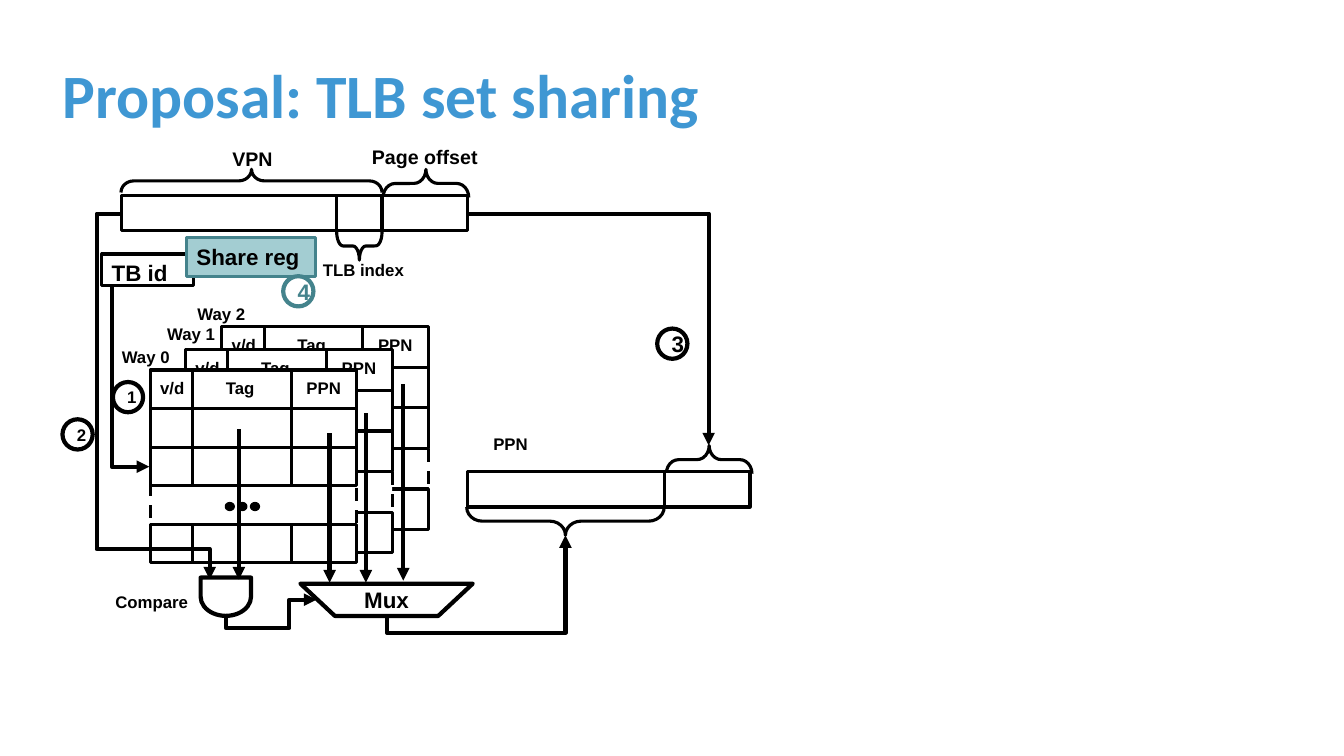
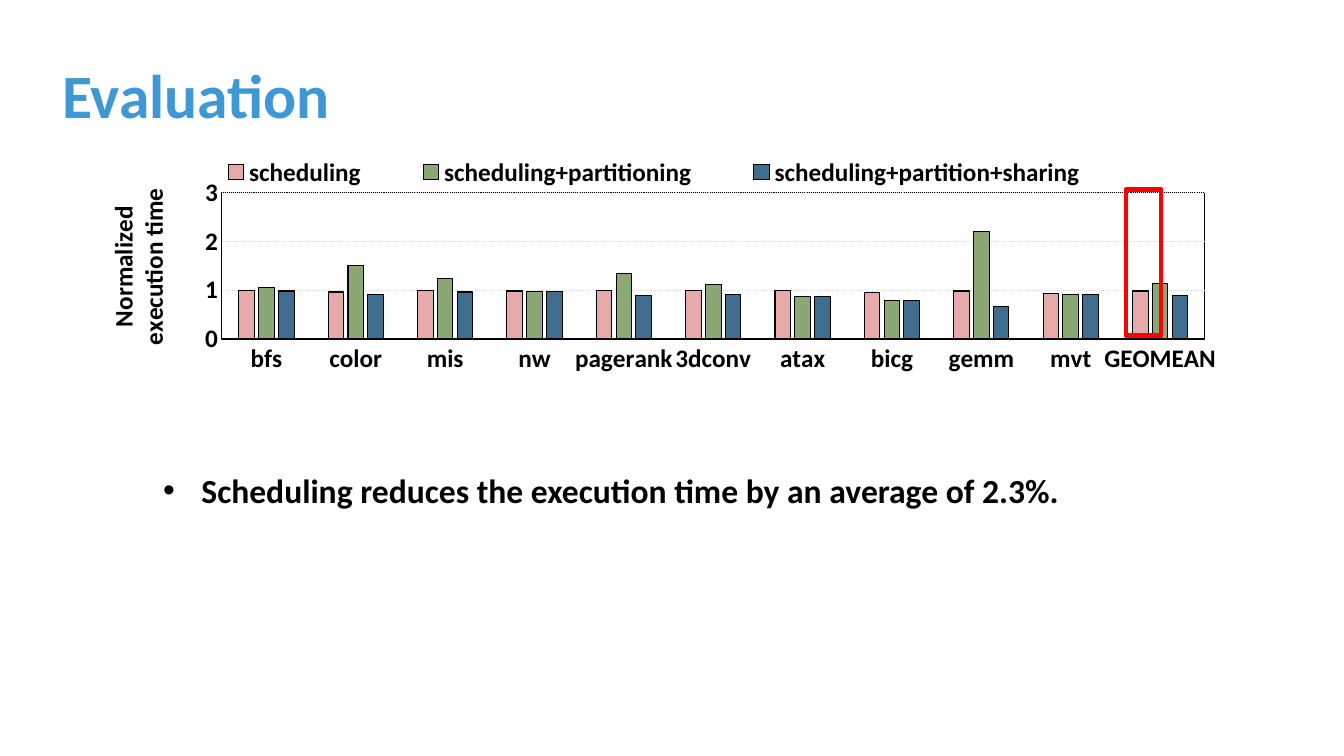
from lxml.etree import SubElement
from pptx import Presentation
from pptx.chart.data import CategoryChartData
from pptx.dml.color import RGBColor
from pptx.enum.chart import XL_CHART_TYPE, XL_LEGEND_POSITION, XL_TICK_MARK
from pptx.enum.dml import MSO_LINE
from pptx.enum.shapes import MSO_CONNECTOR, MSO_SHAPE
from pptx.enum.text import MSO_ANCHOR, PP_ALIGN
from pptx.oxml.ns import qn
from pptx.util import Inches, Pt

BLACK, WHITE, RED = "000000", "FFFFFF", "FF0000"
TITLE_BLUE, TEAL, PALE_TEAL, GRID_GREY = "3F97D3", "44838C", "A3CDD2", "D9D9D9"
COLS, ROWS = 133.33, 75
THIN, THICK = 2.25, 3

# Way table: column width, heading, heading's left inset
WAY_COLUMNS = [(4.2, "v/d", 1), (9.8, "Tag", 3.3), (6.5, "PPN", 1.5)]

CATEGORIES = ["bfs", "color", "mis", "nw", "pagerank", "3dconv", "atax",
              "bicg", "gemm", "mvt", "GEOMEAN"]
SERIES = [
    ("scheduling", "E7AAAA",
     [0.99, 0.96, 1, 0.98, 1, 1, 0.99, 0.94, 0.98, 0.93, 0.98]),
    ("scheduling+partitioning", "8AA774",
     [1.05, 1.5, 1.24, 0.97, 1.34, 1.12, 0.87, 0.78, 2.2, 0.9, 1.14]),
    ("scheduling+partition+sharing", "3F6D8E",
     [0.98, 0.9, 0.96, 0.97, 0.88, 0.9, 0.87, 0.78, 0.66, 0.9, 0.88]),
]


def grid(*cells):
    """Turn counts of grid cells, a tenth of an inch each, into lengths."""
    return [Inches(n / 10) for n in cells]


def rgb(color):
    return RGBColor.from_string(color)


def set_line(line, color, width):
    line.color.rgb = rgb(color)
    line.width = Pt(width)


def set_font(font, size, name="Arial", color=BLACK):
    font.size, font.name, font.bold = Pt(size), name, True
    font.color.rgb = rgb(color)


def add_run(p, text, size, name="Arial", color=BLACK):
    r = p.add_run()
    r.text = text
    set_font(r.font, size, name, color)


def add_titled_slide(prs, title):
    s = prs.slides.add_slide(prs.slide_layouts[5])
    sp = s.shapes.title
    sp.left, sp.top, sp.width, sp.height = grid(5.2, 2.5, 128.1, 14.5)
    tf = sp.text_frame
    tf.vertical_anchor = MSO_ANCHOR.MIDDLE
    p = tf.paragraphs[0]
    p.alignment = PP_ALIGN.LEFT
    p.line_spacing = 0.9
    add_run(p, title, 44, "Calibri", TITLE_BLUE)
    return s


def add_shape(s, kind, box, fill=WHITE, color=BLACK, width=THIN, rotation=0):
    sp = s.shapes.add_shape(kind, *grid(*box))
    sp.shadow.inherit = False
    sp.rotation = rotation
    if fill:
        sp.fill.solid()
        sp.fill.fore_color.rgb = rgb(fill)
    else:
        sp.fill.background()
    set_line(sp.line, color, width)
    return sp


def write(sp, text, size, color=BLACK, align=PP_ALIGN.CENTER,
          anchor=MSO_ANCHOR.MIDDLE):
    tf = sp.text_frame
    tf.word_wrap = True
    tf.vertical_anchor = anchor
    p = tf.paragraphs[0]
    p.alignment = align
    add_run(p, text, size, color=color)
    return tf


def add_label(s, text, box, size=12, align=PP_ALIGN.CENTER):
    write(s.shapes.add_textbox(*grid(*box)), text, size, align=align,
          anchor=MSO_ANCHOR.TOP)


def add_register(s, text, box, fill=WHITE, color=BLACK):
    sp = add_shape(s, MSO_SHAPE.RECTANGLE, box, fill, color)
    write(sp, text, 16, align=PP_ALIGN.LEFT, anchor=MSO_ANCHOR.TOP)


def add_step(s, number, x, y, size=16, color=BLACK):
    sp = add_shape(s, MSO_SHAPE.OVAL, (x, y, 3, 3), color=color, width=THICK)
    write(sp, number, size, color)


def add_brace(s, x, y, length, depth, curl, rotation):
    """Horizontal brace, as seen; rotation 90 points up and 270 down."""
    box = (x + (length - depth) / 2, y + (depth - length) / 2, depth, length)
    sp = add_shape(s, MSO_SHAPE.LEFT_BRACE, box, None, rotation=rotation)
    sp.adjustments[0] = curl


def add_arrow(s, kind, box, end="tailEnd"):
    x, y, w, h = box
    c = s.shapes.add_connector(kind, *grid(x, y, x + w, y + h))
    set_line(c.line, BLACK, THICK)
    SubElement(c.line._get_or_add_ln(), qn("a:" + end), type="triangle")
    SubElement(c._element.spPr, qn("a:effectLst"))
    return c


def add_elbow(s, box, bends, rotation, flips="", adjust=(), end="headEnd"):
    """Bent arrow; box is its frame before rotation."""
    spPr = add_arrow(s, MSO_CONNECTOR.ELBOW, box, end)._element.spPr
    xfrm = spPr.find(qn("a:xfrm"))
    xfrm.set("rot", str(rotation * 60000))
    for flip in flips:
        xfrm.set("flip" + flip, "1")
    geom = spPr.find(qn("a:prstGeom"))
    geom.set("prst", f"bentConnector{bends + 1}")
    for i, share in enumerate(adjust, 1):
        SubElement(geom.find(qn("a:avLst")), qn("a:gd"), name=f"adj{i}",
                   fmla=f"val {round(share * 100000)}")


def add_way(s, left, top, row_h):
    """One TLB way: a heading row, two entries, a dashed gap, a last entry."""
    width = sum(w for w, _, _ in WAY_COLUMNS)
    gap = add_shape(s, MSO_SHAPE.RECTANGLE,
                    (left, top + 3 * row_h, width, row_h))
    gap.line.dash_style = MSO_LINE.DASH
    for row in (0, 1, 2, 4):
        x = left
        for w, heading, inset in WAY_COLUMNS:
            sp = add_shape(s, MSO_SHAPE.RECTANGLE,
                           (x, top + row * row_h, w, row_h))
            if row == 0:
                tf = write(sp, heading, 12, align=PP_ALIGN.LEFT,
                           anchor=MSO_ANCHOR.TOP)
                tf.margin_left, tf.margin_right, tf.margin_top = grid(
                    inset, 0, 0.8)
            x += w


def add_ways(s):
    add_way(s, 22, 32.4, 4.03)
    add_way(s, 18.4, 34.7, 4.03)
    add_elbow(s, (11.1, 28.3, 3.7, 18), 1, 180)
    add_way(s, 14.9, 36.7, 3.83)
    for i in range(3):
        add_shape(s, MSO_SHAPE.OVAL, (22.5 + 1.25 * i, 50, 0.6, 0.5), BLACK,
                  width=THICK)
    for i, (x, y) in enumerate([(11.1, 33.9), (15.6, 31.6), (18.6, 29.6)]):
        add_label(s, f"Way {i}", (x, y, 7.2, 3), align=PP_ALIGN.LEFT)


def add_virtual_address(s):
    add_brace(s, 12, 16.8, 25.9, 2.3, 0.55, 90)
    add_label(s, "VPN", (20.8, 14.1, 8.5, 3.4), 14)
    add_label(s, "Page offset", (31.5, 13.9, 21.3, 3.4), 14)
    add_brace(s, 38, 16.8, 8.5, 2.8, 0.43, 90)
    add_step(s, "1", 11.2, 37.9, 12)
    add_step(s, "2", 6.2, 41.6, 12)
    add_brace(s, 33.4, 23, 4.5, 2.8, 0.23, 270)
    add_label(s, "TLB index", (25.1, 25.3, 21.9, 3))
    for x, w in [(12.1, 21.4), (37.9, 8.5), (33.4, 4.5)]:
        add_shape(s, MSO_SHAPE.RECTANGLE, (x, 19.4, w, 3.5))


def add_lookup(s):
    add_elbow(s, (-1.7, 35, 36.3, 8.7), 3, 270, "V", (0.083, 1.288))
    add_shape(s, MSO_SHAPE.FLOWCHART_DELAY, (20.5, 56.7, 3.8, 5),
              width=THICK, rotation=90)
    add_label(s, "Compare", (9.9, 58.2, 10.3, 3))
    mux = add_shape(s, MSO_SHAPE.FLOWCHART_MANUAL_OPERATION,
                    (29.8, 57.9, 17.1, 3.2), width=THICK)
    write(mux, "Mux", 16)
    for x, top, bottom in [(23.7, 42.6, 57.5), (32.7, 43, 57.8),
                           (36.3, 41, 57.8), (40, 38.1, 57.6)]:
        add_arrow(s, MSO_CONNECTOR.STRAIGHT, (x, top, 0, bottom - top))
    add_elbow(s, (22.4, 59.5, 9, 1.6), 3, 180, "V", (0.3, 1.763))


def add_physical_address(s):
    add_brace(s, 46.3, 50.3, 19.6, 2.8, 0.55, 270)
    add_label(s, "PPN", (45.8, 42.5, 9.7, 3))
    add_brace(s, 66.1, 44.2, 8.5, 2.8, 0.43, 90)
    for x, w in [(46.4, 19.6), (65.9, 8.5)]:
        add_shape(s, MSO_SHAPE.RECTANGLE, (x, 46.8, w, 3.5))
    add_elbow(s, (43.2, 48.3, 8.1, 17.7), 2, 90, "HV", (-0.196,), "tailEnd")
    add_elbow(s, (46.9, 20.8, 23, 23.8), 1, 270, "V")
    add_step(s, "3", 65.2, 32.6)


def add_layout(parent, position, **shares):
    """Place a chart part by hand, in shares of the chart's size."""
    for old in parent.findall(qn("c:layout")):
        parent.remove(old)
    layout = parent.makeelement(qn("c:layout"))
    parent.insert(position, layout)
    manual = SubElement(layout, qn("c:manualLayout"))
    if "inner" in shares:
        SubElement(manual, qn("c:layoutTarget"), val=shares.pop("inner"))
    for key in ("x", "y"):
        SubElement(manual, qn(f"c:{key}Mode"), val="edge")
    for key, share in shares.items():
        SubElement(manual, qn("c:" + key), val=str(share))


def format_axes(chart):
    cat, val = chart.category_axis, chart.value_axis
    for axis in (cat, val):
        axis.major_tick_mark = axis.minor_tick_mark = XL_TICK_MARK.NONE
        set_font(axis.tick_labels.font, 18, "Calibri")
    set_line(cat.format.line, BLACK, 0.75)
    val.format.line.fill.background()
    val.minimum_scale, val.maximum_scale, val.major_unit = 0, 3, 1
    lines = val.major_gridlines.format.line
    set_line(lines, GRID_GREY, 0.75)
    lines.dash_style = MSO_LINE.ROUND_DOT
    tf = val.axis_title.text_frame
    add_run(tf.paragraphs[0], "Normalized", 18, "Calibri")
    add_run(tf.add_paragraph(), "execution time", 18, "Calibri")
    body = tf._txBody.find(qn("a:bodyPr"))
    body.set("rot", "-5400000")
    body.set("vert", "horz")
    add_layout(val.axis_title._element, 1, x=0.02, y=0.1)


def add_time_chart(s):
    data = CategoryChartData()
    data.categories = CATEGORIES
    for name, _, values in SERIES:
        data.add_series(name, values)
    chart = s.shapes.add_chart(XL_CHART_TYPE.COLUMN_CLUSTERED,
                               *grid(7.9, 15.1, 117.5, 33.1), data).chart
    set_font(chart.font, 18, "Calibri")
    chart.has_title = False
    plot = chart.plots[0]
    plot.gap_width, plot.overlap, plot.vary_by_categories = 219, -27, False
    for series, (_, color, _) in zip(plot.series, SERIES):
        series.format.fill.solid()
        series.format.fill.fore_color.rgb = rgb(color)
        set_line(series.format.line, BLACK, 0.75)
    format_axes(chart)
    chart.has_legend = True
    legend = chart.legend
    legend.position = XL_LEGEND_POSITION.BOTTOM
    legend.include_in_layout = False
    set_font(legend.font, 18, "Calibri")
    add_layout(legend._element, 1, x=0.08, y=0.01, w=0.81, h=0.1)
    area = chart._chartSpace.chart.plotArea
    add_layout(area, 0, inner="inner", x=0.12, y=0.12, w=0.83, h=0.44)
    border = SubElement(SubElement(area, qn("c:spPr")), qn("a:ln"),
                        w=str(Pt(0.75)))
    fill = SubElement(border, qn("a:solidFill"))
    SubElement(fill, qn("a:srgbClr"), val=BLACK)


def add_bullet(s, text, box):
    tf = s.shapes.add_textbox(*grid(*box)).text_frame
    tf.word_wrap = True
    p = tf.paragraphs[0]
    pPr = p._p.get_or_add_pPr()
    pPr.set("marL", str(Inches(0.38)))
    pPr.set("indent", str(-Inches(0.38)))
    SubElement(pPr, qn("a:buFont"), typeface="Arial")
    SubElement(pPr, qn("a:buChar"), char="•")
    add_run(p, text, 24, "Calibri")


def main():
    prs = Presentation()
    prs.slide_width, prs.slide_height = grid(COLS, ROWS)

    s = add_titled_slide(prs, "Proposal: TLB set sharing")
    add_ways(s)
    add_virtual_address(s)
    add_lookup(s)
    add_physical_address(s)
    add_register(s, "TB id", (10.1, 25.2, 9.1, 3.1))
    add_register(s, "Share reg", (18.5, 23.6, 12.8, 3.8), PALE_TEAL, TEAL)
    add_step(s, "4", 28.1, 27.4, color=TEAL)

    s = add_titled_slide(prs, "Evaluation")
    add_time_chart(s)
    add_bullet(s, "Scheduling reduces the execution time by an average of 2.3%.",
               (15.2, 46.1, 113, 5))
    add_shape(s, MSO_SHAPE.RECTANGLE, (111.7, 18.8, 3.5, 14.5), None, RED, 3.25)
    prs.save("out.pptx")


if __name__ == "__main__":
    main()
